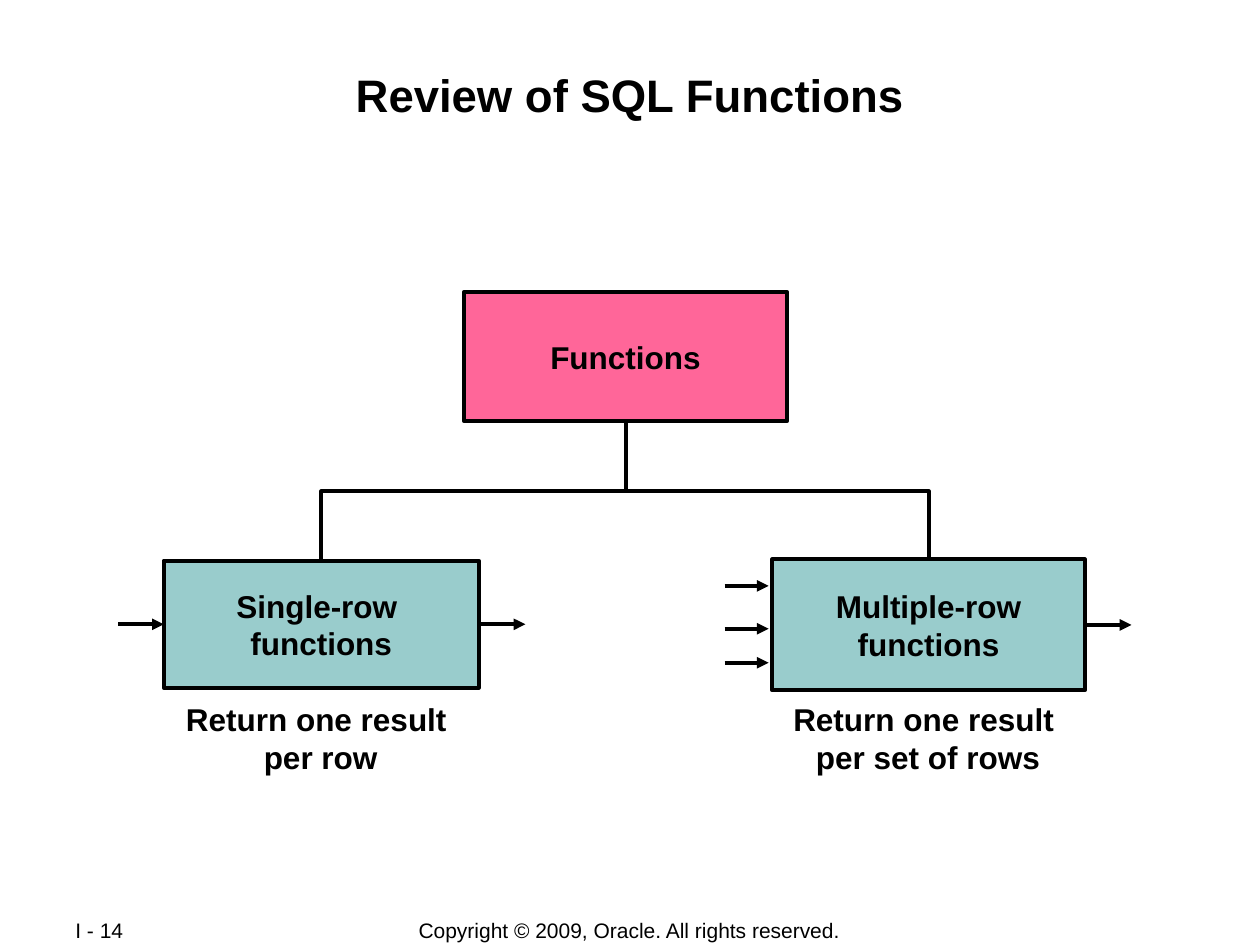
from pptx import Presentation, util as u
from pptx.dml.color import RGBColor
from pptx.enum import shapes as sh, text as tx
from pptx.oxml.ns import qn
from lxml import etree

INK, TEAL, PINK = "000000", "99CCCC", "FF6699"
LINE = 2.25
MID, LEFT = tx.PP_ALIGN.CENTER, tx.PP_ALIGN.LEFT


def color(code):
    return RGBColor.from_string(code)


def inches(*vals):
    return [u.Inches(v) for v in vals]


def write(shape, words, size=18, bold=True, align=MID,
          anchor=tx.MSO_ANCHOR.MIDDLE, pad=(0.1, 0.05)):
    frame = shape.text_frame
    frame.word_wrap = True
    frame.vertical_anchor = anchor
    frame.margin_left = frame.margin_right = u.Inches(pad[0])
    frame.margin_top = frame.margin_bottom = u.Inches(pad[1])
    frame.text = words
    for para in frame.paragraphs:
        para.alignment = align
        para.space_before = u.Pt(0)
        font = para.font
        font.name, font.size, font.bold = "Arial", u.Pt(size), bold
        font.color.rgb = color(INK)


def label(slide, box, words, **form):
    write(slide.shapes.add_textbox(*inches(*box)), words, **form)


def stroke(shape):
    shape.line.color.rgb = color(INK)
    shape.line.width = u.Pt(LINE)


def node(slide, box, words, fill):
    rect = slide.shapes.add_shape(sh.MSO_SHAPE.RECTANGLE, *inches(*box))
    rect.shadow.inherit = False
    rect.fill.solid()
    rect.fill.fore_color.rgb = color(fill)
    stroke(rect)
    write(rect, words)
    return rect


def link(slide, start, end, head=True):
    line = slide.shapes.add_connector(
        sh.MSO_CONNECTOR.STRAIGHT, *inches(*start, *end))
    stroke(line)
    if head:
        etree.SubElement(line.line._get_or_add_ln(), qn("a:tailEnd"),
                         type="triangle")
    etree.SubElement(line._element.spPr, qn("a:effectLst"))
    return line


def branch(slide, box, name, note, rows, note_box):
    """Box with its arrows in and out, and a note below."""
    x, y, w, h = box
    rect = node(slide, box, name, TEAL)
    mid = y + h / 2
    out = link(slide, (x + w, mid), (x + w + 0.37, mid))
    out.begin_connect(rect, 3)
    if rows:
        for row in rows:
            link(slide, (x - 0.38, row), (x - 0.03, row))
    else:
        link(slide, (x - 0.36, mid), (x, mid)).end_connect(rect, 1)
    label(slide, note_box, note)


def tree(slide, root_box, left_box, right_box, bar):
    """Root box above two branches, joined by a bracket."""
    ends = [(b[0] + b[2] / 2, b[1]) for b in (left_box, right_box)]
    (lx, ly), (rx, ry) = ends
    pen = slide.shapes.build_freeform(*inches(lx, ly), scale=1.0)
    pen.add_line_segments(
        [inches(*p) for p in ((lx, bar), (rx, bar), (rx, ry))], close=False)
    bracket = pen.convert_to_shape()
    bracket.shadow.inherit = False
    bracket.fill.background()
    stroke(bracket)

    x, y, w, h = root_box
    root = node(slide, root_box, "Functions", PINK)
    stem = link(slide, (x + w / 2, y + h), (x + w / 2, bar), head=False)
    stem.begin_connect(root, 2)

    branch(slide, left_box, "Single-row \nfunctions",
           "Return one result \nper row", (), (0.85, 5.59, 3.39, 0.53))
    branch(slide, right_box, "Multiple-row\nfunctions",
           "Return one result \nper set of rows", (4.65, 4.99, 5.26),
           (5.44, 5.59, 3.85, 0.53))


def header(slide, box, words):
    title = slide.shapes.title
    title.left, title.top, title.width, title.height = inches(*box)
    write(title, words, size=26, anchor=tx.MSO_ANCHOR.TOP, pad=(0.01, 0.01))


def footer(slide, top, high):
    label(slide, (2.75, top, 4.49, high),
          "Copyright © 2009, Oracle. All rights reserved.",
          size=12, bold=False)
    label(slide, (0.5, top, 1.06, high), "I - 14",
          size=12, bold=False, align=LEFT)


def main():
    deck = Presentation()
    deck.slide_width, deck.slide_height = inches(10, 7.5)
    slide = deck.slides.add_slide(deck.slide_layouts[5])
    header(slide, (0.67, 0.52, 8.66, 0.92), "Review of SQL Functions")
    tree(slide, (3.68, 2.32, 2.57, 1.02), (1.3, 4.45, 2.5, 1.01),
         (6.13, 4.44, 2.48, 1.04), bar=3.9)
    footer(slide, 7.28, 0.21)
    deck.save("out.pptx")


if __name__ == "__main__":
    main()
